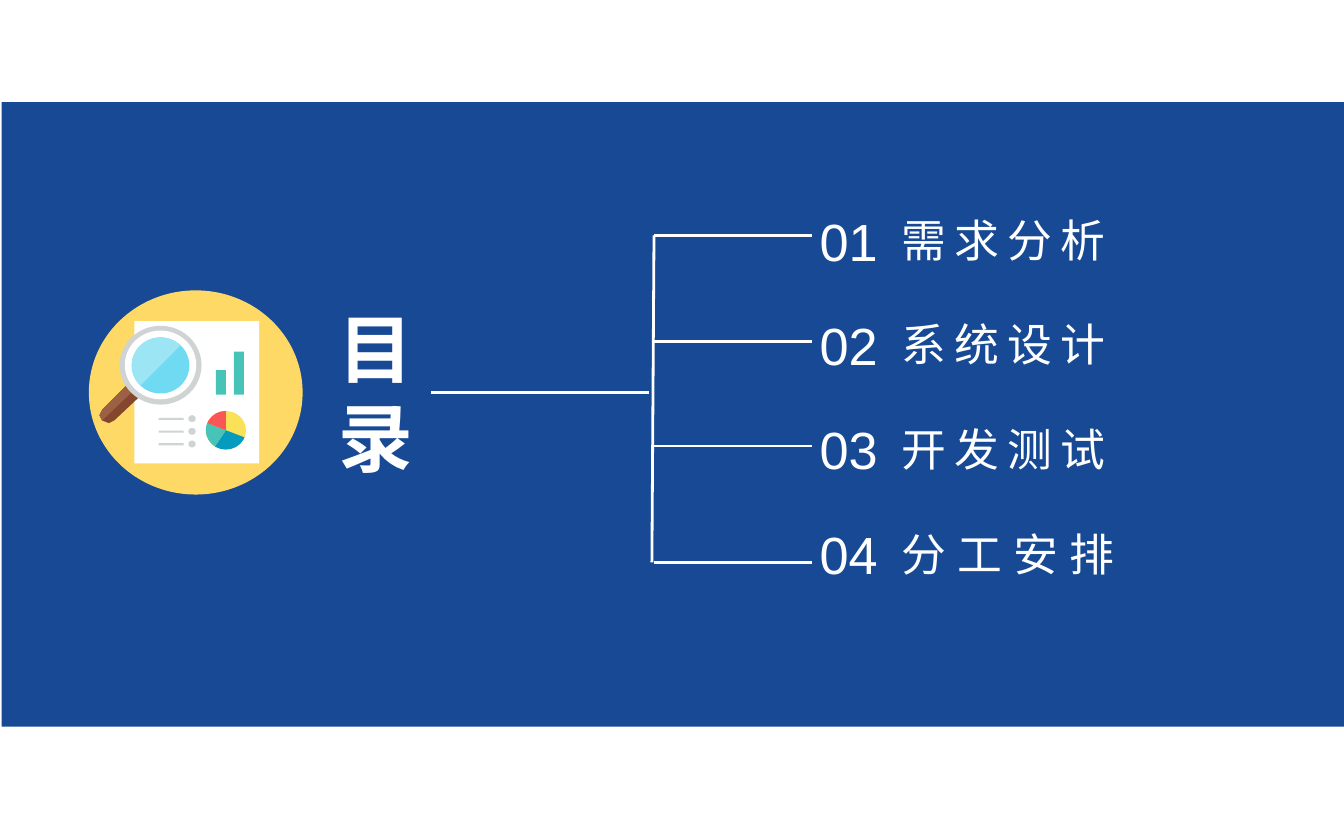
from pptx import Presentation
from pptx.dml.color import RGBColor
from pptx.enum.shapes import MSO_CONNECTOR, MSO_SHAPE
from pptx.enum.text import MSO_ANCHOR, MSO_AUTO_SIZE, PP_ALIGN
from pptx.oxml.ns import qn
from pptx.util import Cm, Pt

RECTANGLE, OVAL = MSO_SHAPE.RECTANGLE, MSO_SHAPE.OVAL
PIE, CHORD = MSO_SHAPE.PIE, MSO_SHAPE.CHORD
STRAIGHT = MSO_CONNECTOR.STRAIGHT
TOP, LEFT = MSO_ANCHOR.TOP, PP_ALIGN.LEFT
GROW = MSO_AUTO_SIZE.SHAPE_TO_FIT_TEXT
TITLE_ONLY = 5

WHITE = RGBColor(0xFF, 0xFF, 0xFF)
BLUE = RGBColor(0x17, 0x49, 0x94)
AMBER = RGBColor(0xFF, 0xD9, 0x66)
YELLOW = RGBColor(0xFB, 0xE1, 0x58)
OCEAN = RGBColor(0x05, 0x9B, 0xBF)
TEAL = RGBColor(0x47, 0xC4, 0xB7)
RED = RGBColor(0xFA, 0x56, 0x55)
GREY = RGBColor(0xCF, 0xD3, 0xD4)
BROWN = RGBColor(0x84, 0x46, 0x2D)
LIGHT_BROWN = RGBColor(0x9C, 0x61, 0x44)
GLASS = RGBColor(0x6F, 0xDA, 0xF1)
GLARE = RGBColor(0x9C, 0xE5, 0xF4)

# number, label, letter spacing in points, height of its branch in cm
TOPICS = [
    ("01", "需求分析", 4.5, 4.45),
    ("02", "系统设计", 4.5, 6.45),
    ("03", "开发测试", 4.5, 8.43),
    ("04", "分工安排", 6, 10.63),
]
NUMBER_TOP, NUMBER_PITCH = 3.83, 1.97
LABEL_TOP, LABEL_PITCH = 3.89, 1.98
SPINE_X, BRANCH_END = 12.36, 15.35


def paint(shape, color):
    shape.shadow.inherit = False
    shape.fill.solid()
    shape.fill.fore_color.rgb = color
    shape.line.fill.background()


def add_block(slide, kind, box, color, arc=None):
    """Add a filled preset; arc gives start and end degrees of a pie or chord."""
    shape = slide.shapes.add_shape(kind, *(Cm(v) for v in box))
    paint(shape, color)
    if arc:
        for i, degrees in enumerate(arc):
            # An angle is stored in 1/60000 degree, an adjustment in 1/100000
            shape.adjustments[i] = degrees * 0.6
    return shape


def add_polygon(slide, points, color):
    corners = [(Cm(x), Cm(y)) for x, y in points]
    builder = slide.shapes.build_freeform(*corners[0])
    builder.add_line_segments(corners[1:], close=True)
    paint(builder.convert_to_shape(), color)


def add_line(slide, *ends):
    line = slide.shapes.add_connector(STRAIGHT, *(Cm(v) for v in ends))
    line.line.color.rgb = WHITE
    line.line.width = Pt(1.5)
    properties = line._element.spPr
    properties.append(properties.makeelement(qn("a:effectLst"), {}))


def write(shape, text, size, spacing=0, bold=False):
    frame = shape.text_frame
    frame.text = text
    frame.word_wrap = True
    frame.auto_size = GROW
    frame.vertical_anchor = TOP
    paragraph = frame.paragraphs[0]
    paragraph.alignment = LEFT
    run = paragraph.runs[0]
    run.font.name = "Arial"
    run.font.size = Pt(size)
    run.font.bold = bold
    run.font.color.rgb = WHITE
    if spacing:
        run.font._element.set("spc", str(int(spacing * 100)))


def add_text(slide, box, text, size, spacing=0):
    write(slide.shapes.add_textbox(*(Cm(v) for v in box)), text, size, spacing)


def add_panel(slide):
    """Lay the blue band behind the title."""
    panel = add_block(slide, RECTANGLE, (0.03, 1.93, 25.37, 11.81), BLUE)
    slide.shapes._spTree.insert(2, panel._element)


def add_title(slide):
    title = slide.shapes.title
    title.left, title.top = Cm(6.15), Cm(5.59)
    title.width, title.height = Cm(2.57), Cm(3.68)
    write(title, "目录", 40, 4.5, bold=True)


def add_topics(slide):
    for i, (number, label, spacing, branch_y) in enumerate(TOPICS):
        label_box = (16.78, LABEL_TOP + i * LABEL_PITCH, 6.6, 1.27)
        number_box = (15.24, NUMBER_TOP + i * NUMBER_PITCH, 2.03, 1.45)
        add_text(slide, label_box, label, 24, spacing)
        add_text(slide, number_box, number, 28)
        add_line(slide, SPINE_X, branch_y, BRANCH_END, branch_y)
    add_line(slide, 8.15, 7.42, 12.27, 7.42)
    add_line(slide, SPINE_X, TOPICS[0][3], 12.32, TOPICS[-1][3])


def add_report(slide):
    add_block(slide, OVAL, (1.68, 5.49, 4.04, 3.86), AMBER)
    add_block(slide, RECTANGLE, (2.54, 6.07, 2.36, 2.69), WHITE)

    pie = (3.89, 7.77, 0.76, 0.73)
    add_block(slide, OVAL, pie, YELLOW)
    for start, end, color in [(21, 124, OCEAN), (124, 201, TEAL), (201, 270, RED)]:
        add_block(slide, PIE, pie, color, (start, end))

    for left, height in [(4.42, 0.81), (4.08, 0.46)]:
        add_block(slide, RECTANGLE, (left, 7.46 - height, 0.19, height), TEAL)

    for i in range(3):
        top = 7.85 + i * 0.24
        add_block(slide, OVAL, (3.56, top, 0.14, 0.13), GREY)
        add_block(slide, RECTANGLE, (3, top + 0.05, 0.47, 0.04), GREY)


def add_magnifier(slide):
    grip = [(1.93, 7.95), (1.88, 7.85), (1.93, 7.75), (2.44, 7.24)]
    add_polygon(slide, [(2.67, 7.47), (2.16, 7.95), (2.06, 8)] + grip, BROWN)
    add_polygon(slide, [(2.54, 7.37)] + grip, LIGHT_BROWN)

    lens = (2.49, 6.38, 1.09, 1.06)
    add_block(slide, OVAL, (2.26, 6.16, 1.55, 1.49), GREY)
    add_block(slide, OVAL, (2.36, 6.25, 1.35, 1.3), WHITE)
    add_block(slide, OVAL, lens, GLASS)
    add_block(slide, CHORD, lens, GLARE, (135, 315))


def main():
    deck = Presentation()
    deck.slide_width, deck.slide_height = Cm(25.4), Cm(15.88)
    slide = deck.slides.add_slide(deck.slide_layouts[TITLE_ONLY])
    add_panel(slide)
    add_title(slide)
    add_topics(slide)
    add_report(slide)
    add_magnifier(slide)
    deck.save("out.pptx")


if __name__ == "__main__":
    main()
